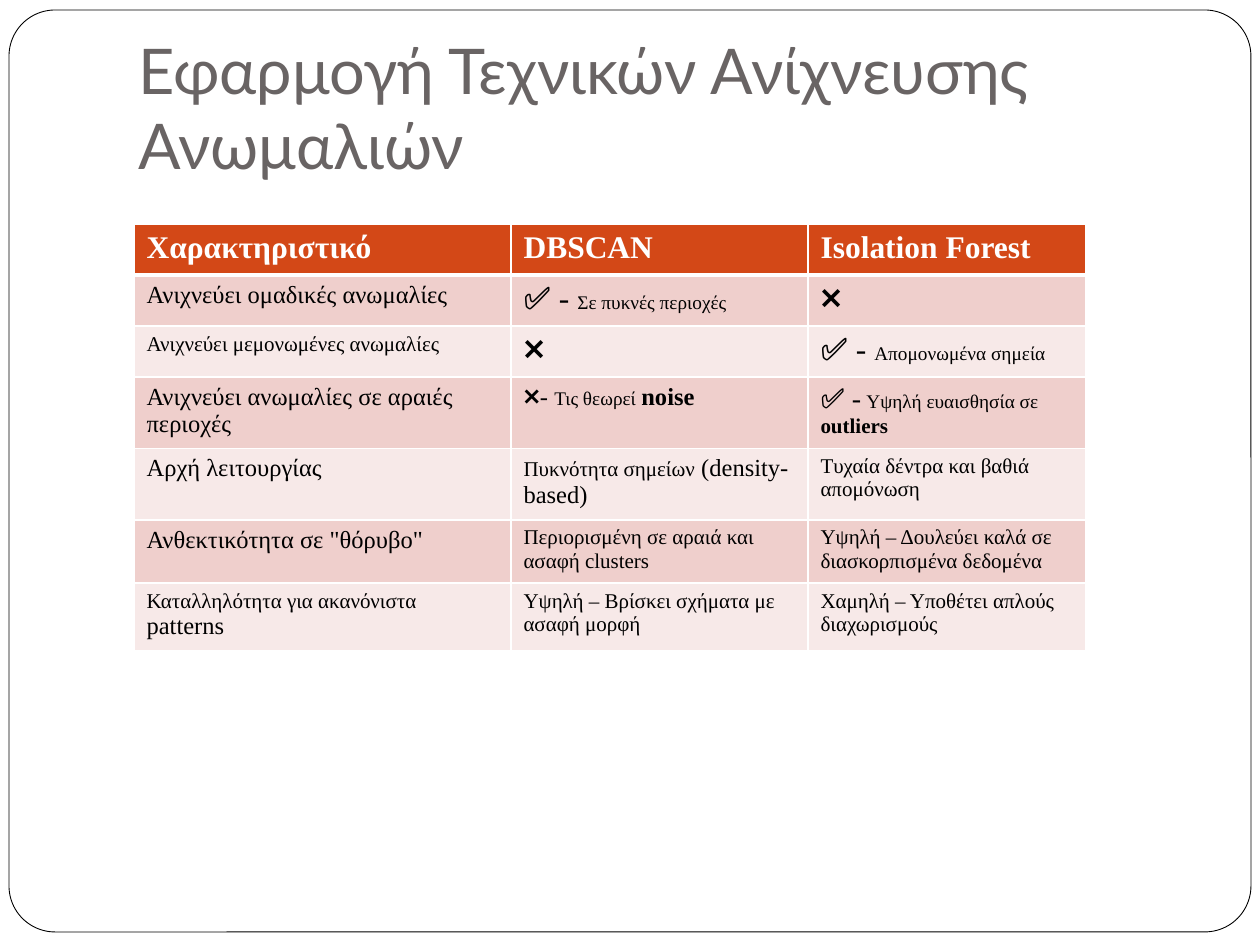
from lxml.etree import SubElement
from pptx import Presentation
from pptx.dml.color import RGBColor
from pptx.enum.shapes import MSO_SHAPE as SHAPE
from pptx.enum.text import MSO_ANCHOR as ANCHOR
from pptx.oxml.ns import qn
from pptx.util import Pt

PX = 914400 / 126
COLORS = {"white": "FFFFFF", "black": "000000", "title": "696464",
          "header": "D34817", "band_dark": "EFCFCC", "band_light": "F7E9E8"}
TITLE_FONT, TABLE_FONT = "Lato", "Times New Roman"

# Content: each cell is a list of (text, size) or (text, size, bold) runs
TITLE = "Εφαρμογή Τεχνικών Ανίχνευσης Ανωμαλιών"
HEADER = ["Χαρακτηριστικό", "DBSCAN", "Isolation Forest"]
ROWS = [
    [[("Ανιχνεύει ομαδικές ανωμαλίες", 14)],
     [("✅ - ", 18), ("Σε πυκνές περιοχές", 11)],
     [("❌", 18)]],
    [[("Ανιχνεύει μεμονωμένες ανωμαλίες", 12)],
     [("❌", 18)],
     [("✅ - ", 18), ("Απομονωμένα σημεία", 11)]],
    [[("Ανιχνεύει ανωμαλίες σε αραιές περιοχές", 14)],
     [("❌- ", 14), ("Τις θεωρεί", 11), (" ", 12), ("noise", 14, True)],
     [("✅ -", 16), (" ", 12), ("Υψηλή ευαισθησία σε ", 11), ("outliers", 12, True)]],
    [[("Αρχή λειτουργίας", 14)],
     [("Πυκνότητα σημείων", 12), (" (density-based)", 14)],
     [("Τυχαία δέντρα και βαθιά απομόνωση", 12)]],
    [[("Ανθεκτικότητα σε \"θόρυβο\"", 14)],
     [("Περιορισμένη σε αραιά και ασαφή clusters", 12)],
     [("Υψηλή – Δουλεύει καλά σε διασκορπισμένα δεδομένα", 12)]],
    [[("Καταλληλότητα για ακανόνιστα ", 12), ("patterns", 14)],
     [("Υψηλή – Βρίσκει σχήματα με ασαφή μορφή", 12)],
     [("Χαμηλή – Υποθέτει απλούς διαχωρισμούς", 12)]],
]
COL_WIDTHS = [377, 297, 278]
ROW_HEIGHT = 51


def px(n):
    return round(n * PX)


def rgb(name):
    return RGBColor.from_string(COLORS[name])


def set_borders(cell, widths):
    tcPr = cell._tc.get_or_add_tcPr()
    for side, width in widths.items():
        ln = SubElement(tcPr, qn(f"a:ln{side}"), w=str(Pt(width)))
        fill = SubElement(ln, qn("a:solidFill"))
        SubElement(fill, qn("a:srgbClr"), val=COLORS["white"])


def fill_cell(cell, runs, fill, color, borders):
    set_borders(cell, borders)
    cell.fill.solid()
    cell.fill.fore_color.rgb = rgb(fill)
    p = cell.text_frame.paragraphs[0]
    p.font.name = TABLE_FONT
    p.font.color.rgb = rgb(color)
    for text, size, *bold in runs:
        r = p.add_run()
        r.text = text
        r.font.size = Pt(size)
        r.font.bold = bool(bold)


prs = Presentation()
prs.slide_width, prs.slide_height = px(1260), px(945)
s = prs.slides.add_slide(prs.slide_layouts[6])

# Rounded frame
frame = s.shapes.add_shape(SHAPE.ROUNDED_RECTANGLE, px(9), px(10), px(1242), px(922))
frame.adjustments[0] = 0.05
frame.shadow.inherit = False
frame.fill.solid()
frame.fill.fore_color.rgb = rgb("white")
frame.line.color.rgb = rgb("black")
frame.line.width = Pt(0.5)

# Title
tf = s.shapes.add_textbox(px(126), px(38), px(1071), px(157)).text_frame
tf.word_wrap = True
tf.vertical_anchor = ANCHOR.BOTTOM
tf.margin_bottom = tf.margin_left
p = tf.paragraphs[0]
p.text = TITLE
p.font.name, p.font.size = TITLE_FONT, Pt(36)
p.font.color.rgb = rgb("title")

# Comparison table
table_rows = [[[(name, 18, True)] for name in HEADER]] + ROWS
table = s.shapes.add_table(len(table_rows), len(HEADER), px(134), px(224),
                           px(sum(COL_WIDTHS)), px(ROW_HEIGHT * len(table_rows))).table
for column, width in zip(table.columns, COL_WIDTHS):
    column.width = px(width)
for i, row in enumerate(table_rows):
    table.rows[i].height = px(ROW_HEIGHT)
    fill = "header" if i == 0 else "band_dark" if i % 2 else "band_light"
    color = "white" if i == 0 else "black"
    borders = {"L": 1, "R": 1, "T": 3 if i == 1 else 1, "B": 3 if i == 0 else 1}
    for j, runs in enumerate(row):
        fill_cell(table.cell(i, j), runs, fill, color, borders)

prs.save("out.pptx")
